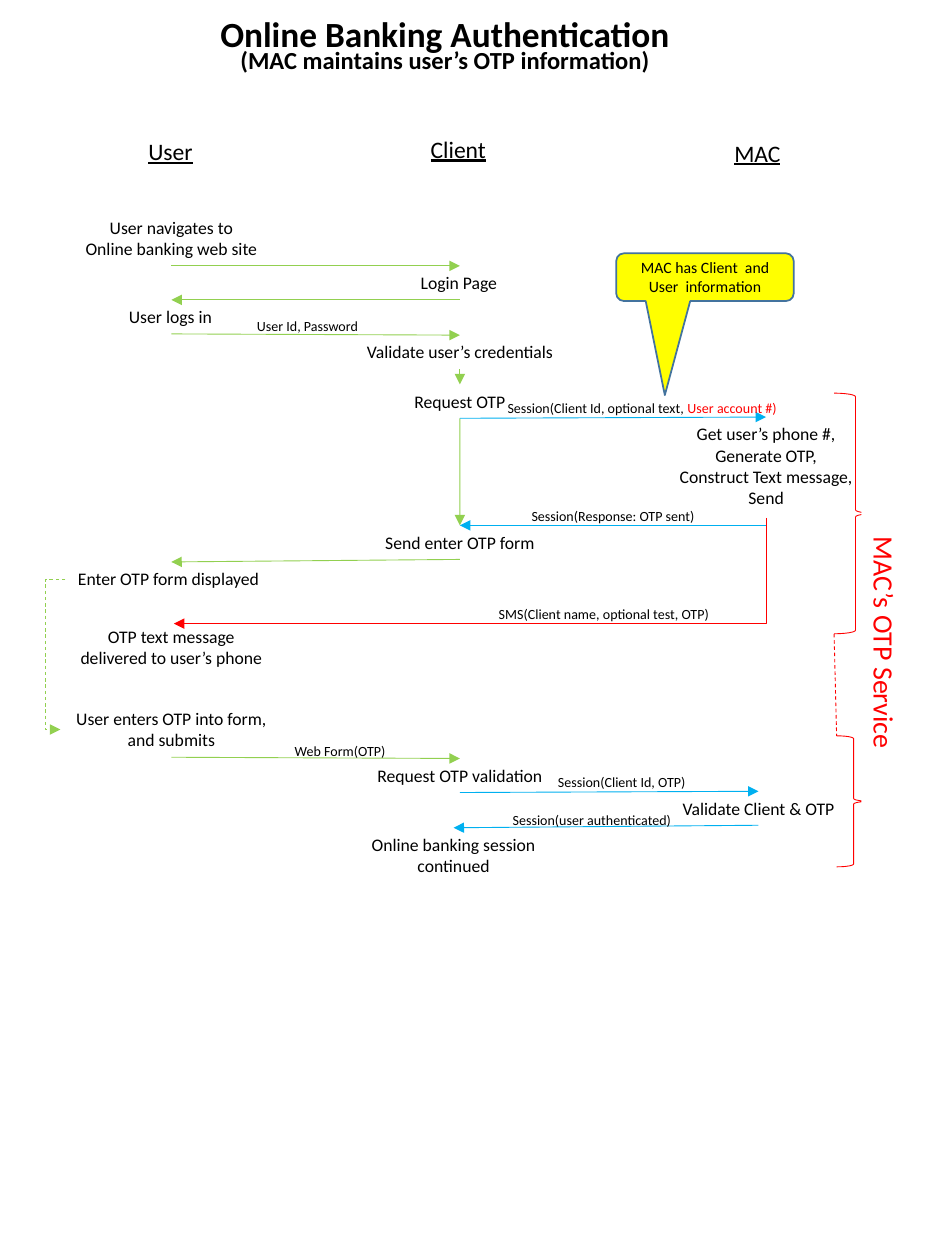
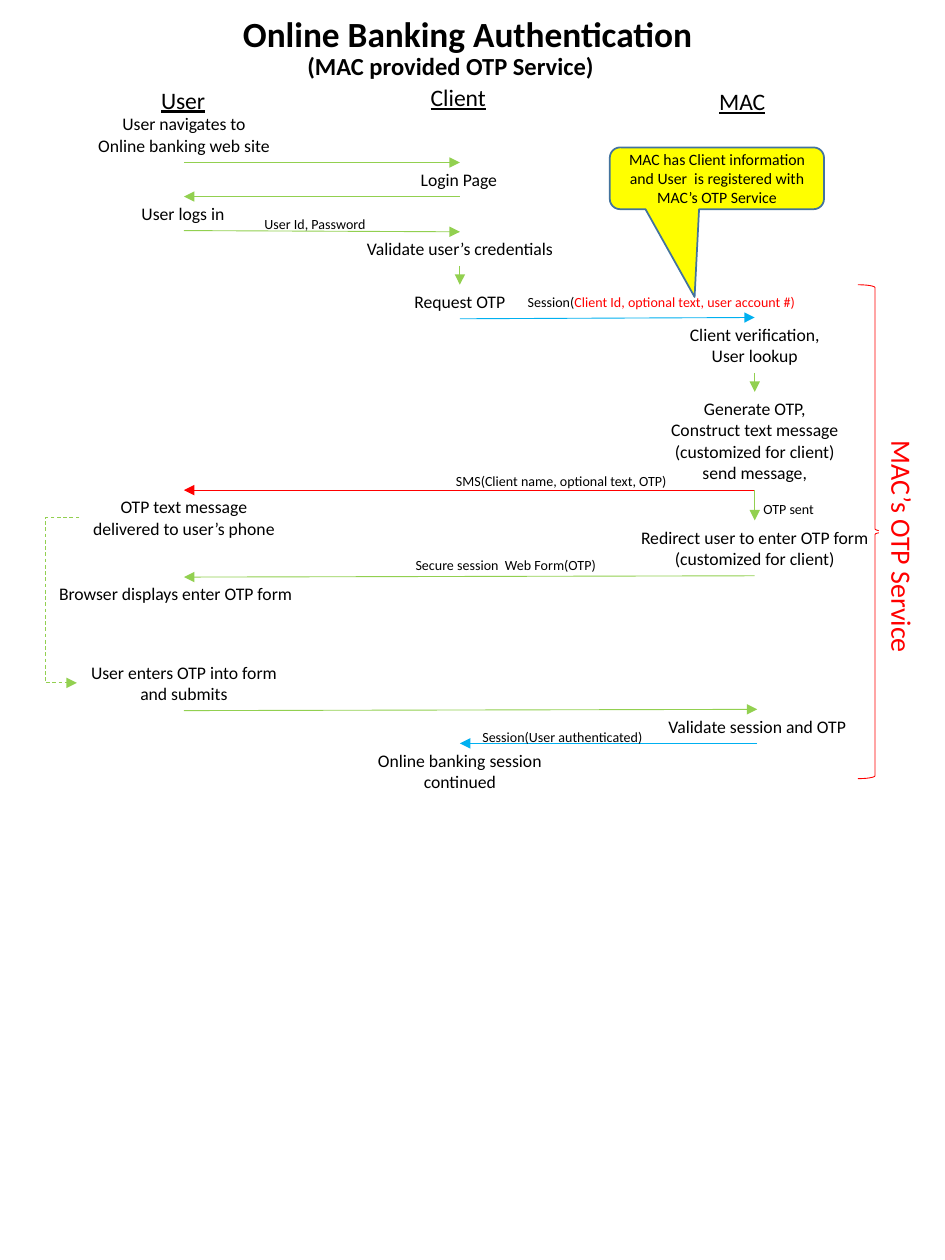
from lxml import etree
from pptx import Presentation
from pptx import util as u
from pptx.dml.color import RGBColor
from pptx.enum import dml, shapes, text
from pptx.oxml import ns

BLACK = RGBColor(0x00, 0x00, 0x00)
WHITE = RGBColor(0xFF, 0xFF, 0xFF)
RED = RGBColor(0xFF, 0x00, 0x00)
GREEN = RGBColor(0x92, 0xD0, 0x50)
BLUE = RGBColor(0x00, 0xB0, 0xF0)
YELLOW = RGBColor(0xFF, 0xFF, 0x00)
NAVY = RGBColor(0x43, 0x73, 0x9E)
FONT = "Calibri"
CLIENT = 3.65
TURN = 0.36
LEFT, MID = text.PP_ALIGN.LEFT, text.PP_ALIGN.CENTER
KIND = shapes.MSO_SHAPE
WIRE = shapes.MSO_CONNECTOR


def dress(frame, size, color=BLACK, align=LEFT, bold=False, under=False):
    for para in frame.paragraphs:
        para.alignment = align
        for run in para.runs:
            font = run.font
            font.name, font.size = FONT, u.Pt(size)
            font.bold, font.underline = bold, under
            font.color.rgb = color


def label(page, left, top, width, height, words, size, **style):
    box = page.shapes.add_textbox(*map(u.Inches, (left, top, width, height)))
    frame = box.text_frame
    frame.text = words
    frame.word_wrap = False
    frame.auto_size = text.MSO_AUTO_SIZE.SHAPE_TO_FIT_TEXT
    dress(frame, size, **style)
    return box


def steps(page, top, rows):
    boxes = []
    for mid, down, width, words, align in rows:
        tall = 0.1 + 0.17 * (words.count("\n") + 1)
        boxes.append(label(page, mid - width / 2, top + down, width, tall,
                           words, 10.1, align=align))
    return boxes


def notes(page, top, rows):
    for left, down, width, words, alert in rows:
        box = label(page, left, top + down, width, 0.24, words, 8)
        if alert:
            run = box.text_frame.paragraphs[0].add_run()
            run.text = alert
            run.font.name, run.font.size = FONT, u.Pt(8)
            run.font.color.rgb = RED


def wire(page, kind, start, end, color, dash=False, head=True):
    line = page.shapes.add_connector(kind, *map(u.Inches, start + end))
    line.line.color.rgb = color
    line.line.width = u.Pt(0.5)
    if dash:
        line.line.dash_style = dml.MSO_LINE.DASH
    props = line.element.spPr
    if head:
        tip = etree.SubElement(props.find(ns.qn("a:ln")), ns.qn("a:tailEnd"))
        tip.set("type", "triangle")
    etree.SubElement(props, ns.qn("a:effectLst"))
    return line


def link(page, first, last, color=GREEN):
    line = wire(page, WIRE.STRAIGHT, (0, 0), (1, 1), color)
    line.begin_connect(first, 2)
    line.end_connect(last, 0)


def detour(page, start, end):
    line = wire(page, WIRE.ELBOW, start, end, GREEN, dash=True)
    ratio = (start[0] - TURN) / (start[0] - end[0])
    guide = etree.SubElement(line.element.spPr.find(".//" + ns.qn("a:avLst")),
                             ns.qn("a:gd"))
    guide.set("name", "adj1")
    guide.set("fmla", f"val {round(ratio * 100000)}")


def corner(page, start, end):
    wide, tall = start[0] - end[0], end[1] - start[1]
    left = (start[0] + end[0] - tall) / 2
    top = (start[1] + end[1] - wide) / 2
    line = wire(page, WIRE.ELBOW, (left, top), (left + tall, top + wide), RED)
    props = line.element.spPr
    props.find(ns.qn("a:xfrm")).set("rot", "5400000")
    props.find(ns.qn("a:prstGeom")).set("prst", "bentConnector2")


def solid(page, kind, left, top, width, height, fill=None, edge=None, weight=0.5):
    form = page.shapes.add_shape(kind, *map(u.Inches, (left, top, width, height)))
    form.shadow.inherit = False
    if fill is None:
        form.fill.background()
    else:
        form.fill.solid()
        form.fill.fore_color.rgb = fill
    if edge is None:
        form.line.fill.background()
    else:
        form.line.color.rgb = edge
        form.line.width = u.Pt(weight)
    return form


def brace(page, left, top, width, height):
    solid(page, KIND.RIGHT_BRACE, left, top, width, height, edge=RED)


def banner(page, mid, center, length):
    form = solid(page, KIND.RECTANGLE, mid - length / 2, center - 0.185,
                 length, 0.37, fill=WHITE)
    form.rotation = 90
    frame = form.text_frame
    frame.text = "MAC’s OTP Service"
    frame.word_wrap = True
    frame.vertical_anchor = text.MSO_ANCHOR.TOP
    frame.auto_size = text.MSO_AUTO_SIZE.SHAPE_TO_FIT_TEXT
    dress(frame, 16, RED, MID)


def callout(page, left, top, width, height, words, tip):
    form = solid(page, KIND.ROUNDED_RECTANGULAR_CALLOUT, left, top, width,
                 height, YELLOW, NAVY, 1)
    for spot, value in enumerate(tip + (0.167,)):
        form.adjustments[spot] = value
    frame = form.text_frame
    frame.text = words
    frame.word_wrap = True
    frame.vertical_anchor = text.MSO_ANCHOR.MIDDLE
    dress(frame, 9, align=MID)


def title(page, left, under, top, width, words):
    label(page, left, 0.05, 3.83, 0.44, "Online Banking Authentication", 20.2, bold=True)
    label(page, under, top, width, 0.34, words, 14, bold=True)


def heads(page, top, user, mac):
    for left, down, width, name in ((user, 0.02, 0.56, "User"),
                                    (3.32, 0, 0.65, "Client"),
                                    (mac, 0.03, 0.57, "MAC")):
        label(page, left, top + down, width, 0.33, name, 13.5, under=True)


def login(page, user, top, ask):
    boxes = steps(page, top, (
        (user, 0, 1.59, "User navigates to\nOnline banking web site", MID),
        (CLIENT, 0.44, 0.82, "Login Page", LEFT),
        (user, 0.71, 0.87, "User logs in", LEFT),
        (CLIENT, 0.99, 1.72, "Validate user’s credentials", MID),
        (CLIENT, ask, 0.94, "Request OTP", MID)))
    for first, last in zip(boxes, boxes[1:]):
        link(page, first, last)
    return boxes[-1]


def fetch(page, user, mac, top, ask):
    phone, form, shown, sent, enter = steps(page, top, (
        (mac, 0, 1.61, "Get user’s phone #,\nGenerate OTP,\nConstruct Text message,\nSend", MID),
        (CLIENT, 0.86, 1.41, "Send enter OTP form", MID),
        (user, 1.15, 1.68, "Enter OTP form displayed", LEFT),
        (user, 1.61, 1.67, "OTP text message\ndelivered to user’s phone", MID),
        (user, 2.26, 1.75, "User enters OTP into form,\nand submits", MID)))
    link(page, ask, form)
    link(page, ask, phone, BLUE)
    link(page, form, shown)
    back = wire(page, WIRE.STRAIGHT, (mac, top + 0.86), (CLIENT, top + 0.86), BLUE)
    back.end_connect(form, 0)
    corner(page, (mac, top + 0.8), (1.38, top + 1.64))
    detour(page, (0.52, top + 1.29), (0.48, top + 2.48))
    notes(page, top, (
        (3.93, -0.19, 2.36, "Session(Client Id, optional text, ", "User account #)"),
        (4.12, 0.67, 1.51, "Session(Response: OTP sent)", ""),
        (3.86, 1.45, 1.89, "SMS(Client name, optional test, OTP)", "")))
    return enter


def confirm(page, mac, top, enter):
    check, valid, done = steps(page, top, (
        (CLIENT, 0, 1.55, "Request OTP validation", MID),
        (mac, 0.26, 1.44, "Validate Client & OTP", MID),
        (3.6, 0.55, 1.64, "Online banking session\ncontinued", MID)))
    link(page, enter, check)
    link(page, check, valid, BLUE)
    link(page, valid, done, BLUE)
    notes(page, top, (
        (2.24, -0.18, 0.93, "Web Form(OTP)", ""),
        (4.33, 0.07, 1.22, "Session(Client Id, OTP)", ""),
        (3.97, 0.37, 1.59, "Session(user authenticated)", "")))


def create(page, user, mac, top, ask):
    look, make, sent, guide, shown = steps(page, top, (
        (mac, 0, 1.29, "Client verification,\nUser lookup", MID),
        (mac, 0.59, 1.55, "Generate OTP,\nConstruct text message\n"
                          "(customized for client)\nsend message,", MID),
        (user, 1.37, 1.67, "OTP text message\ndelivered to user’s phone", MID),
        (mac, 1.61, 2.05, "Redirect user to enter OTP form\n(customized for client)", MID),
        (user, 2.06, 2.18, "Browser displays enter OTP form", LEFT)))
    link(page, ask, look, BLUE)
    link(page, look, make)
    link(page, make, sent, RED)
    link(page, make, guide)
    link(page, guide, shown)
    detour(page, (0.63, top + 1.59), (0.61, top + 2.9))
    notes(page, top, (
        (4.09, -0.24, 2.4, "Session(", "Client Id, optional text, user account #)"),
        (3.52, 1.18, 1.94, "SMS(Client name, optional text, OTP)", ""),
        (5.96, 1.4, 0.61, "OTP sent", ""),
        (3.2, 1.85, 0.87, "Secure session", ""),
        (3.91, 1.85, 0.93, "Web Form(OTP)", "")))


def submit(page, user, mac, top):
    enter, valid, done = steps(page, top, (
        (user, 0, 1.71, "User enters OTP into form\nand submits", MID),
        (mac, 0.43, 1.65, "Validate session and OTP", MID),
        (CLIENT, 0.7, 1.53, "Online banking session\ncontinued", MID)))
    link(page, enter, valid)
    link(page, valid, done, BLUE)
    notes(page, top, ((3.73, 0.53, 1.54, "Session(User authenticated)", ""),))


def stored(page):
    title(page, 1.65, 1.81, 0.31, 3.47, "(MAC maintains user’s OTP information)")
    heads(page, 1.02, 1.08, 5.73)
    ask = login(page, 1.36, 1.67, 1.38)
    notes(page, 1.67, ((1.94, 0.8, 1.02, "User Id, Password", ""),))
    enter = fetch(page, 1.36, 6.08, 3.31, ask)
    confirm(page, 6.02, 6.02, enter)
    brace(page, 6.62, 3.12, 0.34, 1.91)
    brace(page, 6.64, 5.84, 0.27, 1.04)
    wire(page, WIRE.STRAIGHT, (6.62, 5.03), (6.64, 5.84), RED, dash=True, head=False)
    banner(page, 7.02, 5.1, 3.05)
    callout(page, 4.89, 2.01, 1.41, 0.38, "MAC has Client  and User  information",
            (-0.226, 2.464))


def hosted(page):
    title(page, 1.83, 2.34, 0.36, 2.49, "(MAC provided OTP Service)")
    heads(page, 0.61, 1.18, 5.61)
    ask = login(page, 1.46, 0.85, 1.41)
    notes(page, 0.85, ((2, 0.81, 1.02, "User Id, Password", ""),))
    create(page, 1.46, 5.99, 2.52, ask)
    submit(page, 1.46, 6.01, 5.2)
    brace(page, 6.81, 2.26, 0.27, 3.92)
    banner(page, 7.16, 4.34, 1.91)
    callout(page, 4.84, 1.17, 1.7, 0.49,
            "MAC has Client information and User  is registered with MAC’s OTP Service",
            (-0.104, 1.921))


def main():
    deck = Presentation()
    deck.slide_width, deck.slide_height = u.Inches(7.5), u.Inches(10)
    for build in (stored, hosted):
        build(deck.slides.add_slide(deck.slide_layouts[6]))
    deck.save("out.pptx")


if __name__ == "__main__":
    main()
